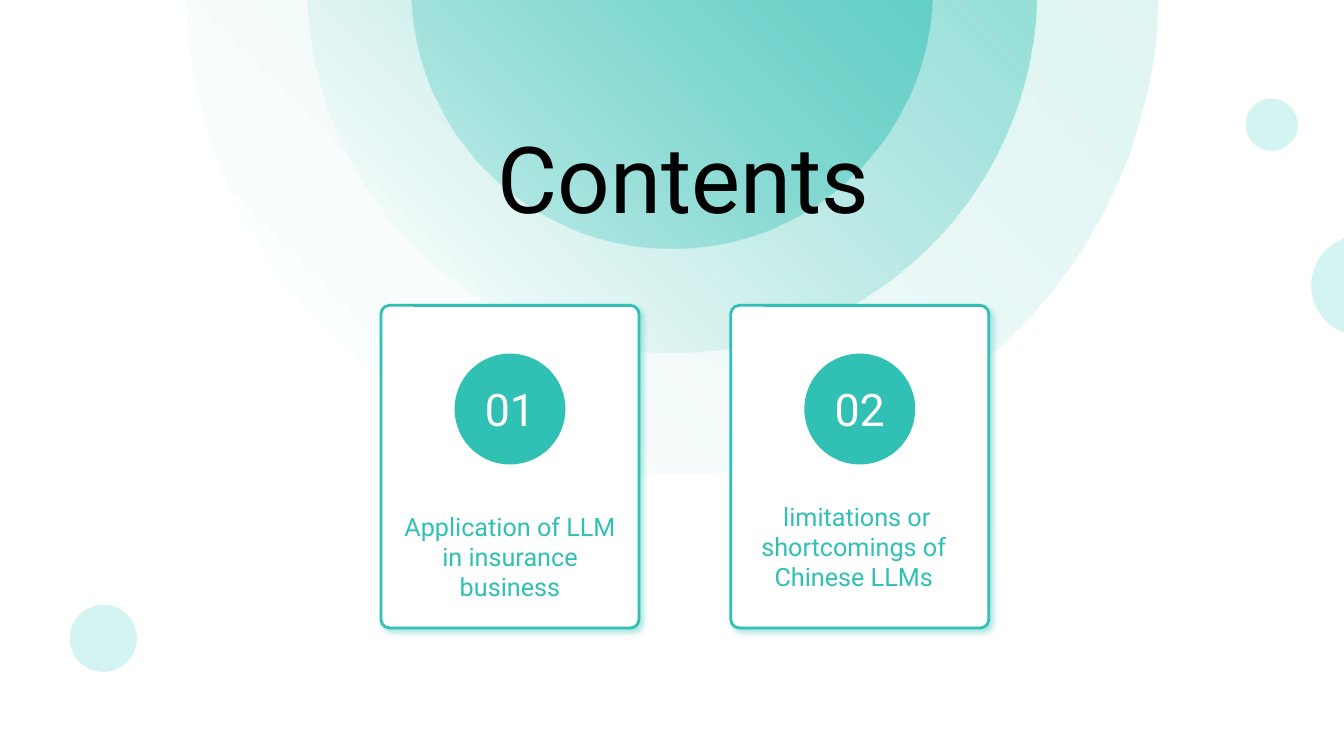
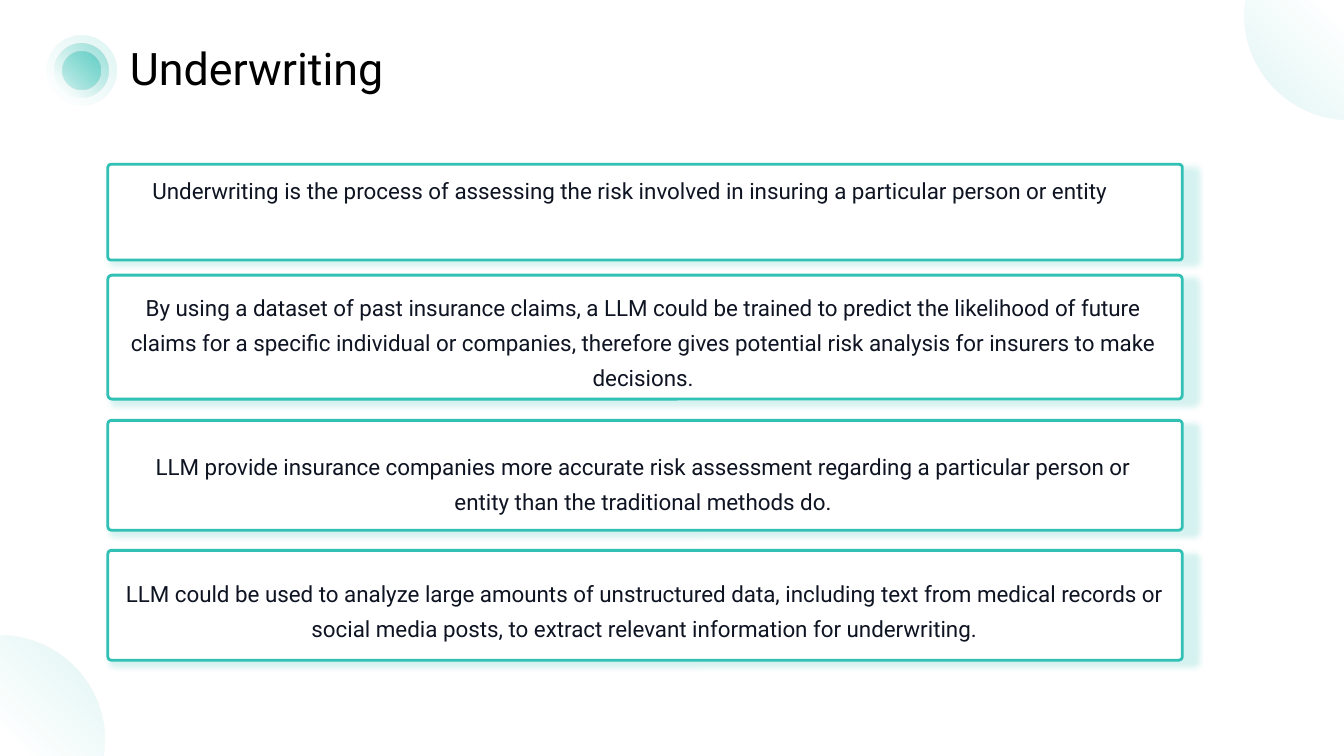
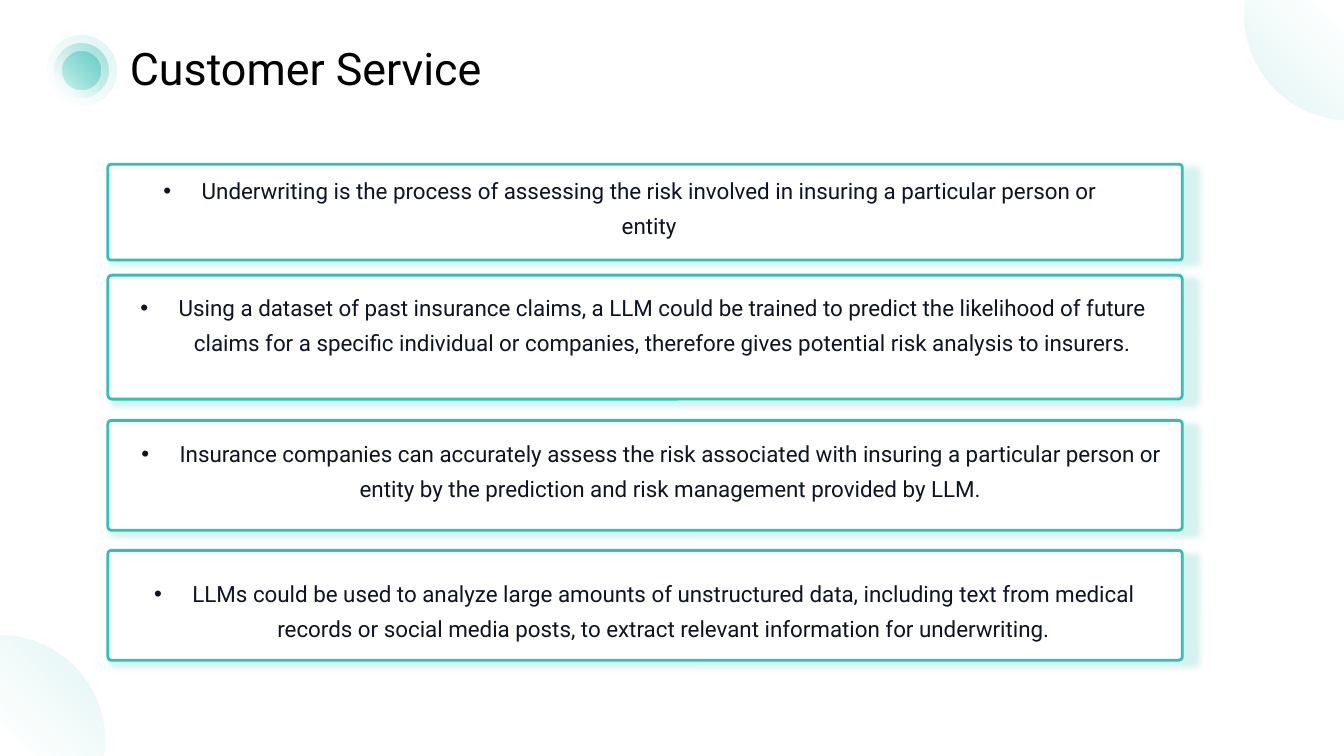
from math import asin, ceil, cos, degrees, radians, sin, tan

from lxml.etree import SubElement
from pptx import Presentation
from pptx.dml.color import RGBColor
from pptx.enum.shapes import MSO_SHAPE as Preset
from pptx.enum.text import MSO_ANCHOR as Anchor, PP_ALIGN as Align
from pptx.oxml import parse_xml
from pptx.oxml.ns import nsdecls, qn
from pptx.util import Inches, Pt

COLORS = {
    "teal": "30C0B4",
    "mint": "D4F4F2",
    "white": "FFFFFF",
    "black": "000000",
    "ink": "0F1423",
}
FONT = "Roboto"

# The slide is a grid of 160 columns by 90 rows of square cells.
COLUMNS, ROWS = 160, 90
WIDTH, HEIGHT = Inches(13.3333), Inches(7.5)
CELL = HEIGHT / ROWS

# Opacity at the start and at the end of each gradient, outer ring first.
RING_FADES = [(16, 0), (42, 0), (54, 24)]
CORNER_FADE = RING_FADES[0]

# Opacity and scale, both in percent.
CARD_SHADOW, PANEL_SHADOW = (40, 100), (20, 101)

CARD_TOP, CARD_WIDTH, CARD_HEIGHT, NUMBER_RADIUS = 36.36, 30.72, 38.4, 6.6
PANEL_LEFT, PANEL_WIDTH = 12.84, 127.92
PANEL_ROWS = [(19.56, 11.4), (32.76, 14.76), (50.04, 13.08), (65.52, 13.08)]

# Card left, number, label, and the label's left, top and width.
CARDS = [
    (87, "02", " limitations or shortcomings of Chinese LLMs", (87, 59.08, 29.28)),
    (45.36, "01", "Application of LLM in insurance business", (46.92, 60.28, 27.6)),
]

# Each panel text comes with the left, top, width and height of its box.
UNDERWRITING = [
    ("Underwriting is the process of assessing the risk involved in insuring "
     "a particular person or entity", (15.24, 19.56, 119.52, 13.8)),
    ("By using a dataset of past insurance claims, a LLM could be trained to "
     "predict the likelihood of future claims for a specific individual or "
     "companies, therefore gives potential risk analysis for insurers to make "
     "decisions.", (14.28, 33.48, 124.56, 12.48)),
    ("LLM provide insurance companies more accurate risk assessment regarding "
     "a particular person or entity than the traditional methods do.",
     (14.28, 52.36, 124.56, 9.6)),
    ("LLM could be used to analyze large amounts of unstructured data, "
     "including text from medical records or social media posts, to extract "
     "relevant information for underwriting.", (12.76, 67.52, 127.92, 9.6)),
]
CUSTOMER_SERVICE = [
    UNDERWRITING[0],
    ("Using a dataset of past insurance claims, a LLM could be trained to "
     "predict the likelihood of future claims for a specific individual or "
     "companies, therefore gives potential risk analysis to insurers.",
     (14.28, 33.48, 124.56, 12.48)),
    ("Insurance companies can accurately assess the risk associated with "
     "insuring a particular person or entity by the prediction and risk "
     "management provided by LLM.", (15.24, 50.88, 124.56, 9.6)),
    ("LLMs could be used to analyze large amounts of unstructured data, "
     "including text from medical records or social media posts, to extract "
     "relevant information for underwriting.", (12.76, 67.52, 127.92, 9.6)),
]


def cells(*lengths):
    return [round(length * CELL) for length in lengths]


def rgb(name):
    return RGBColor.from_string(COLORS[name])


def paint(shape, color):
    shape.shadow.inherit = False
    shape.fill.solid()
    shape.fill.fore_color.rgb = rgb(color)
    shape.line.fill.background()


def paint_fade(shape, fade, angle=135):
    """Fill with teal that fades out along the angle (clockwise degrees)."""
    paint(shape, "teal")
    stops = "".join(
        f'<a:gs pos="{position}000"><a:srgbClr val="{COLORS["teal"]}">'
        f'<a:alpha val="{opacity}000"/></a:srgbClr></a:gs>'
        for position, opacity in zip((0, 87), fade))
    gradient = parse_xml(
        f'<a:gradFill {nsdecls("a")} rotWithShape="1"><a:gsLst>{stops}</a:gsLst>'
        f'<a:lin ang="{angle * 60000}" scaled="0"/></a:gradFill>')
    properties = shape._element.spPr
    properties.replace(properties.find(qn("a:solidFill")), gradient)


def add_shadow(shape, opacity, scale):
    effects = shape._element.spPr.find(qn("a:effectLst"))
    effects.append(parse_xml(
        f'<a:outerShdw {nsdecls("a")} blurRad="{Pt(4)}" dist="{Pt(3)}" '
        f'dir="2700000" sx="{scale}000" sy="{scale}000" algn="tl" '
        f'rotWithShape="0"><a:srgbClr val="{COLORS["teal"]}">'
        f'<a:alpha val="{opacity}000"/></a:srgbClr></a:outerShdw>'))


def add_circle(shapes, x, y, radius, color="teal"):
    size = 2 * radius
    circle = shapes.add_shape(
        Preset.OVAL, *cells(x - radius, y - radius, size, size))
    paint(circle, color)
    return circle


def arc_points(x, y, radius, start, end, count):
    """List the start, then two handles and an end for each Bezier curve."""
    step = radians(end - start) / count
    handle = 4 / 3 * tan(step / 4)
    points = [(1, 0, radians(start))]
    for index in range(count):
        first = radians(start) + index * step
        last = first + step
        points += [(1, handle, first), (1, -handle, last), (1, 0, last)]
    return [(x + radius * (out * cos(angle) - along * sin(angle)),
             y + radius * (out * sin(angle) + along * cos(angle)))
            for out, along, angle in points]


def bend(shape, count):
    """Turn the first straight segments, three at a time, into curves."""
    segments = list(shape._element.iter(qn("a:lnTo")))
    for index in range(count):
        first, second, third = segments[3 * index:3 * index + 3]
        curve = parse_xml(f'<a:cubicBezTo {nsdecls("a")}/>')
        first.addprevious(curve)
        for segment in (first, second, third):
            curve.append(segment[0])
            segment.getparent().remove(segment)


def add_cut_circle(shapes, x, y, radius, start, end, corner=None):
    """Draw the arc between two angles, closed by a chord or through a corner."""
    count = ceil((end - start) / 100)
    points = arc_points(x, y, radius, start, end, count)
    if corner:
        points.append(corner)
    outline = [cells(*point) for point in points]
    builder = shapes.build_freeform(*outline[0], scale=1.0)
    builder.add_line_segments(outline[1:], close=True)
    shape = builder.convert_to_shape()
    bend(shape, count)
    return shape


def add_rounded_box(shapes, left, top, width, height, shadow):
    box = shapes.add_shape(
        Preset.ROUNDED_RECTANGLE, *cells(left, top, width, height))
    box.adjustments[0] = 0.033
    paint(box, "white")
    box.line.color.rgb = rgb("teal")
    box.line.width = Pt(2)
    add_shadow(box, *shadow)


def write(shape, text, size, color, align=Align.CENTER):
    shape.text_frame.text = text
    paragraph = shape.text_frame.paragraphs[0]
    paragraph.alignment = align
    font = paragraph.runs[0].font
    font.name, font.size, font.color.rgb = FONT, Pt(size), rgb(color)
    return paragraph


def add_text(shapes, box, text, size, color, align=Align.CENTER):
    text_box = shapes.add_textbox(*cells(*box))
    text_box.text_frame.word_wrap = True
    return write(text_box, text, size, color, align)


def add_bullet(paragraph):
    properties = paragraph._p.get_or_add_pPr()
    properties.set("marL", str(Inches(0.38)))
    properties.set("indent", str(-Inches(0.38)))
    SubElement(properties, qn("a:buFont")).set("typeface", "Arial")
    SubElement(properties, qn("a:buChar")).set("char", "•")


def add_card(slide, left, number, label, label_place):
    shapes = slide.shapes.add_group_shape().shapes
    add_rounded_box(
        shapes, left, CARD_TOP, CARD_WIDTH, CARD_HEIGHT, CARD_SHADOW)
    circle = add_circle(shapes, left + CARD_WIDTH / 2, 48.7, NUMBER_RADIUS)
    write(circle, number, 32, "white")
    circle.text_frame.word_wrap = False
    circle.text_frame.vertical_anchor = Anchor.MIDDLE
    add_text(shapes, (*label_place, 12.12), label, 18, "teal")


def add_panel(slide, top, height, text, text_box, bulleted):
    shapes = slide.shapes.add_group_shape().shapes
    add_rounded_box(
        shapes, PANEL_LEFT, top, PANEL_WIDTH, height, PANEL_SHADOW)
    paragraph = add_text(shapes, text_box, text, 16, "ink")
    paragraph.line_spacing = 1.3
    if bulleted:
        add_bullet(paragraph)


def add_title_and_corners(slide, title, title_width):
    badge = slide.shapes.add_group_shape().shapes
    for radius, fade in zip((4.2, 3.2, 2.3), RING_FADES):
        paint_fade(add_circle(badge, 9.7, 8.4, radius), fade)
    top_right = add_cut_circle(
        slide.shapes, 160.6, 1.9, 12.4, 92.8, 188.8, (COLUMNS, 0))
    paint_fade(top_right, CORNER_FADE, 315)
    add_text(slide.shapes, (14.28, 4.2, title_width, 7.68), title, 32, "black",
             Align.LEFT)
    bottom_left = add_cut_circle(
        slide.shapes, 0, 88, 12.4, -90, 9.3, (0, ROWS))
    paint_fade(bottom_left, CORNER_FADE)


def build_contents(slide):
    shapes = slide.shapes
    add_circle(shapes, 12.3, 76, 4, "mint")
    rise = 1.4
    for radius, fade in zip((57.8, 43.4, 31.05), RING_FADES):
        start = degrees(asin(rise / radius))
        ring = add_cut_circle(
            shapes, COLUMNS / 2, -rise, radius, start, 180 - start)
        paint_fade(ring, fade)
    add_text(shapes, (55.8, 13.8, 51.24, 14.52), "Contents", 66, "black")
    for card in CARDS:
        add_card(slide, *card)
    paint(add_cut_circle(shapes, 162.1, 34, 6, 110.5, 249.5), "mint")
    add_circle(shapes, 151.4, 14.85, 3.1, "mint")


def build_panels(slide, title, title_width, panels, bulleted=False):
    add_title_and_corners(slide, title, title_width)
    for (top, height), (text, text_box) in zip(PANEL_ROWS, panels):
        add_panel(slide, top, height, text, text_box, bulleted)


def main():
    presentation = Presentation()
    presentation.slide_width, presentation.slide_height = WIDTH, HEIGHT
    blank = presentation.slide_layouts[6]
    contents, underwriting, service = [
        presentation.slides.add_slide(blank) for _ in range(3)]
    build_contents(contents)
    build_panels(underwriting, "Underwriting", 43.8, UNDERWRITING)
    build_panels(service, "Customer Service", 61.56, CUSTOMER_SERVICE,
                 bulleted=True)
    presentation.save("out.pptx")


if __name__ == "__main__":
    main()
